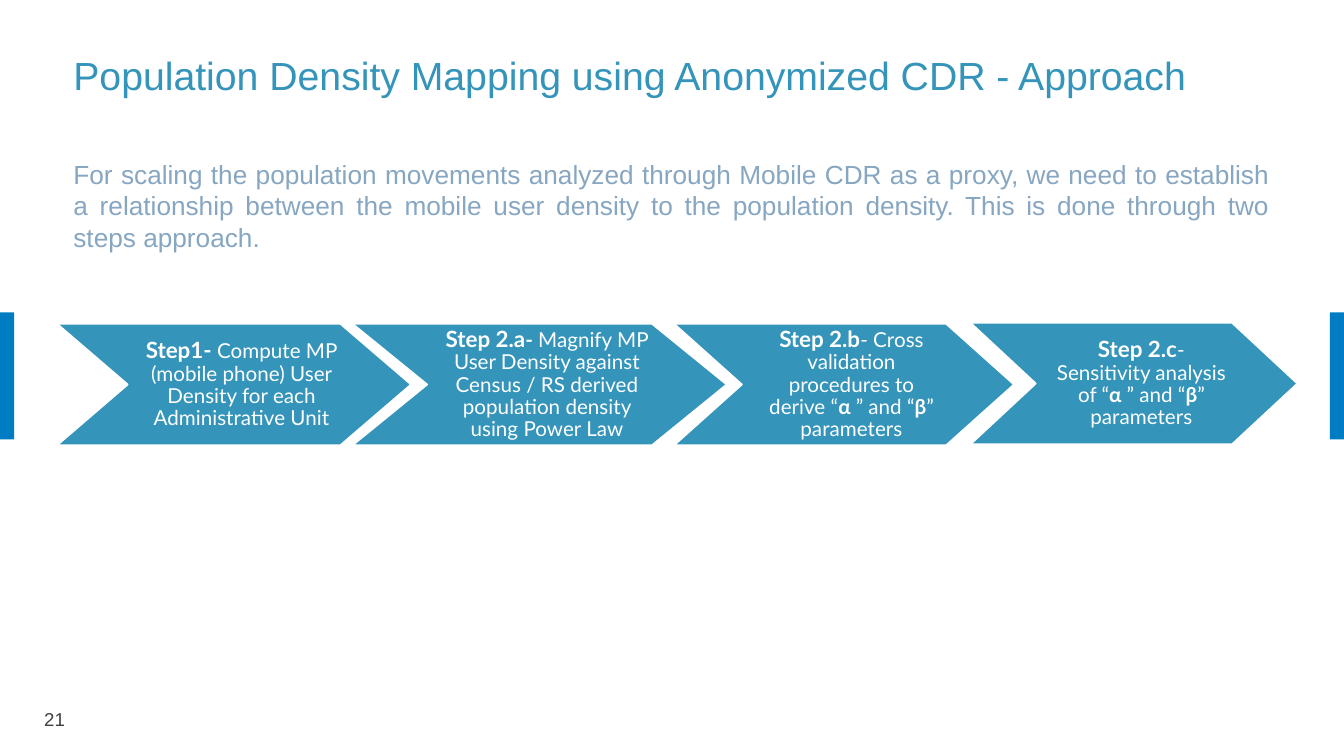
from dataclasses import dataclass

from pptx import Presentation
from pptx.dml.color import RGBColor
from pptx.enum.shapes import MSO_SHAPE
from pptx.enum.text import MSO_ANCHOR, PP_ALIGN
from pptx.util import Inches, Pt


@dataclass(frozen=True)
class Theme:
    accent: RGBColor = RGBColor(0x34, 0x94, 0xBA)
    edge: RGBColor = RGBColor(0x00, 0x7C, 0xC3)
    intro: RGBColor = RGBColor(0x86, 0xA6, 0xC1)
    number: RGBColor = RGBColor(0x40, 0x40, 0x40)
    white: RGBColor = RGBColor(0xFF, 0xFF, 0xFF)
    heading_font: str = "Arial"
    step_font: str = "Lato"
    title_size: float = 28
    intro_size: float = 18.7
    number_size: float = 13.3
    step_size: float = 16
    detail_size: float = 14.7


THEME = Theme()
SLIDE_WIDTH, SLIDE_HEIGHT = 13.33, 7.5

# Each step: left, top, width, then its label and (text, bold) details
PARAMETERS = [("α ", True), ("” and “", False), ("β", True), ("” parameters", False)]
STEPS = [
    (0.56, 3.21, 3.52, "Step1-",
     [(" Compute MP (mobile phone) User Density for each Administrative Unit", False)]),
    (3.49, 3.21, 3.72, "Step 2.a",
     [("- ", True), ("Magnify MP User Density against Census / RS derived "
                     "population density using Power Law", False)]),
    (6.68, 3.21, 3.38, "Step 2.b",
     [("- Cross validation procedures to derive “", False), *PARAMETERS]),
    (9.62, 3.2, 3.25, "Step 2.c",
     [("- Sensitivity analysis of “", False), *PARAMETERS]),
]
STEP_HEIGHT = 1.21
POINT_SHARE = 0.2  # depth of the arrow point as a share of its width


def style(font, name, size, color, bold=False):
    font.name, font.size, font.bold = name, Pt(size), bold
    font.color.rgb = color


def add_text(slide, box, text, size, color, align=PP_ALIGN.LEFT, anchor=MSO_ANCHOR.TOP):
    frame = slide.shapes.add_textbox(*map(Inches, box)).text_frame
    frame.word_wrap = True
    frame.vertical_anchor = anchor
    frame.text = text
    paragraph = frame.paragraphs[0]
    paragraph.alignment = align
    style(paragraph.runs[0].font, THEME.heading_font, size, color)


def add_edge_bars(slide, top, width, height):
    for left in (0, SLIDE_WIDTH - width):
        bar = slide.shapes.add_shape(
            MSO_SHAPE.RECTANGLE, *map(Inches, (left, top, width, height)))
        bar.shadow.inherit = False
        bar.fill.solid()
        bar.fill.fore_color.rgb = THEME.edge
        bar.line.fill.background()


def add_step(slide, box, label, details):
    left, top, width, height = box
    right, middle, bottom = left + width, top + height / 2, top + height
    point = width * POINT_SHARE

    # Arrow outline
    outline = [(right - point, top), (right, middle), (right - point, bottom),
               (left, bottom), (left + point, middle)]
    builder = slide.shapes.build_freeform(Inches(left), Inches(top))
    builder.add_line_segments([(Inches(x), Inches(y)) for x, y in outline], close=True)
    arrow = builder.convert_to_shape()
    arrow.shadow.inherit = False
    arrow.fill.solid()
    arrow.fill.fore_color.rgb = THEME.accent
    arrow.line.color.rgb = THEME.white
    arrow.line.width = Pt(1.5)

    # Label and details
    frame = arrow.text_frame
    frame.word_wrap = True
    frame.vertical_anchor = MSO_ANCHOR.MIDDLE
    frame.margin_left, frame.margin_right = Inches(0.86), Inches(0.71)
    frame.margin_top = frame.margin_bottom = Inches(0.07)
    paragraph = frame.paragraphs[0]
    paragraph.text = label
    paragraph.alignment = PP_ALIGN.CENTER
    paragraph.line_spacing = 0.9
    style(paragraph.runs[0].font, THEME.step_font, THEME.step_size, THEME.white, True)
    for text, bold in details:
        run = paragraph.add_run()
        run.text = text
        style(run.font, THEME.step_font, THEME.detail_size, THEME.white, bold)


def build_approach_slide(slide):
    add_edge_bars(slide, top=3.1, width=0.14, height=1.26)
    add_text(slide, (0.34, 6.93, 0.68, 0.41), "21", THEME.number_size, THEME.number,
             anchor=MSO_ANCHOR.MIDDLE)
    add_text(slide, (0.63, 1.52, 12.06, 1.2),
             "For scaling the population movements analyzed through Mobile CDR as a proxy, "
             "we need to establish a relationship between the mobile user density to the "
             "population density. This is done through two steps approach.",
             THEME.intro_size, THEME.intro, align=PP_ALIGN.JUSTIFY)
    for left, top, width, label, details in STEPS:
        add_step(slide, (left, top, width, STEP_HEIGHT), label, details)
    add_text(slide, (0.63, 0.46, 12.06, 0.57),
             "Population Density Mapping using Anonymized CDR - Approach",
             THEME.title_size, THEME.accent)


def main():
    deck = Presentation()
    deck.slide_width, deck.slide_height = Inches(SLIDE_WIDTH), Inches(SLIDE_HEIGHT)
    build_approach_slide(deck.slides.add_slide(deck.slide_layouts[6]))
    deck.save("out.pptx")


if __name__ == "__main__":
    main()
